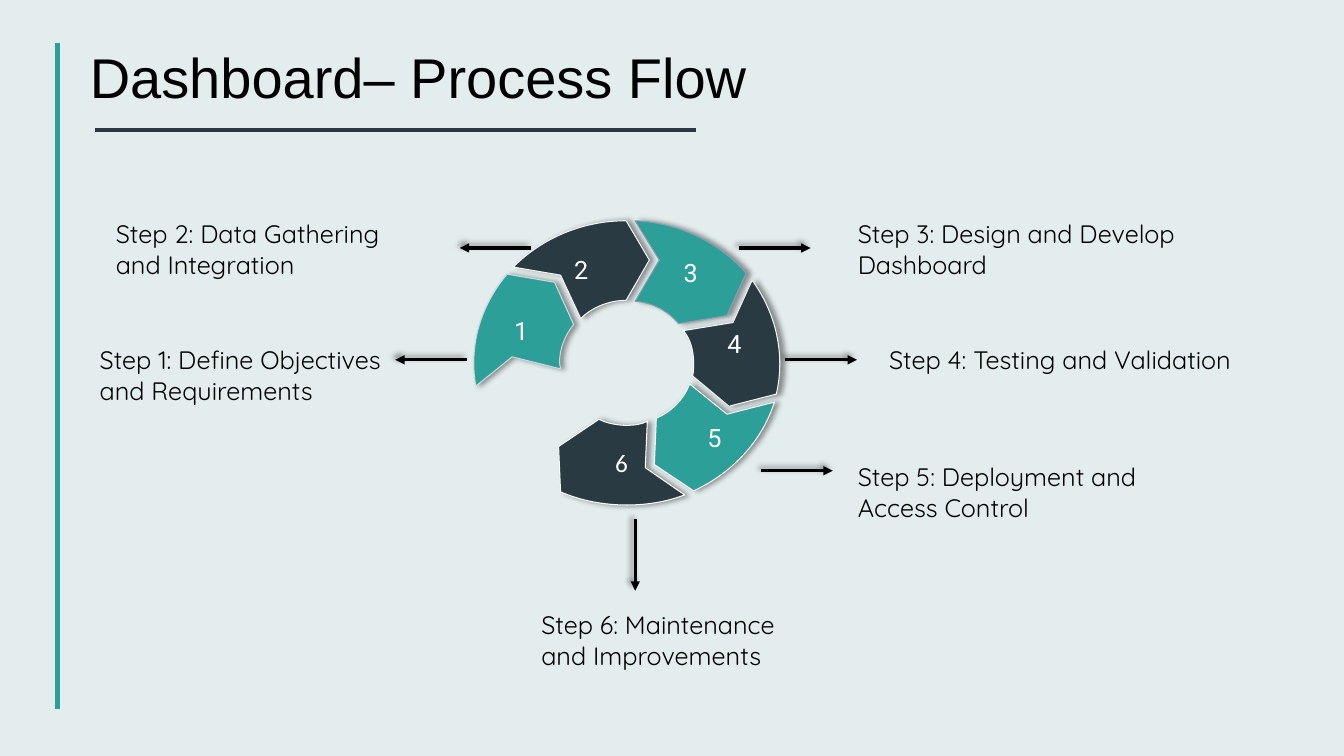
from dataclasses import dataclass

from lxml import etree
from pptx import Presentation
from pptx.dml.color import RGBColor
from pptx.enum.shapes import MSO_CONNECTOR
from pptx.enum.text import MSO_ANCHOR, MSO_AUTO_SIZE, PP_ALIGN
from pptx.oxml.ns import qn
from pptx.util import Pt

STRAIGHT = MSO_CONNECTOR.STRAIGHT
TOP, MIDDLE = MSO_ANCHOR.TOP, MSO_ANCHOR.MIDDLE
LEFT, CENTER = PP_ALIGN.LEFT, PP_ALIGN.CENTER
NO_FIT, GROW = MSO_AUTO_SIZE.NONE, MSO_AUTO_SIZE.SHAPE_TO_FIT_TEXT
PX = 9144
ARROW_LENGTH = 71


@dataclass(frozen=True)
class Theme:
    background: RGBColor = RGBColor.from_string("E4EDEE")
    teal: RGBColor = RGBColor.from_string("2C9F98")
    slate: RGBColor = RGBColor.from_string("293A42")
    black: RGBColor = RGBColor.from_string("000000")
    white: RGBColor = RGBColor.from_string("FFFFFF")
    pale: RGBColor = RGBColor.from_string("F7F7F7")
    mist: RGBColor = RGBColor.from_string("CFD9E0")
    steel: RGBColor = RGBColor.from_string("869FB2")
    title_size: Pt = Pt(40)
    text_size: Pt = Pt(18)


theme = Theme()


def add_effects(shape, shadow_angle=None):
    effects = etree.SubElement(shape._element.spPr, qn("a:effectLst"))
    if shadow_angle is not None:
        shadow = etree.SubElement(
            effects, qn("a:outerShdw"), blurRad=str(Pt(4)), dist=str(Pt(3)),
            dir=str(shadow_angle * 60000), algn="ctr", rotWithShape="0")
        black = etree.SubElement(shadow, qn("a:srgbClr"), val=str(theme.black))
        etree.SubElement(black, qn("a:alpha"), val="40000")


def add_line(start, end, color, width, arrow=False):
    ends = [value * PX for value in (*start, *end)]
    line = page.shapes.add_connector(STRAIGHT, *ends)
    line.line.color.rgb = color
    line.line.width = Pt(width)
    if arrow:
        outline = line._element.spPr.find(qn("a:ln"))
        etree.SubElement(outline, qn("a:tailEnd"), type="triangle")
    add_effects(line, 225 if arrow else None)


deck = Presentation()
deck.slide_width, deck.slide_height = 1333 * PX, 750 * PX
page = deck.slides.add_slide(deck.slide_layouts[5])
page.background.fill.solid()
page.background.fill.fore_color.rgb = theme.background

add_line((57, 43), (57, 703), theme.teal, 3.25)

title = page.shapes.title
title.left, title.top, title.width, title.height = [v * PX for v in (79, 40, 973, 101)]
frame = title.text_frame
frame.margin_left = frame.margin_right = frame.margin_top = frame.margin_bottom = 10 * PX
frame.vertical_anchor = TOP
frame.auto_size = NO_FIT
frame.word_wrap = True
para = frame.paragraphs[0]
para.alignment = LEFT
para.line_spacing = 0.9
span = para.add_run()
span.text = "Dashboard– Process Flow"
span.font.name = "Arial"
span.font.size = theme.title_size
span.font.color.rgb = theme.black

add_line((94, 129), (690, 129), theme.slate, 3)

segments = [
    ("4", theme.slate, theme.pale, "Roboto", (678, 278, 101, 125), [
        (746, 278), (727, 320), (678, 328), (685, 337, 688, 348, 688, 360),
        (688, 364, 688, 369, 687, 373), (723, 403), (770, 391),
        (779, 352, 770, 311, 746, 278)]),
    ("3", theme.teal, theme.steel, "Roboto", (630, 219, 110, 102), [
        (630, 219), (654, 258), (630, 299), (647, 300, 662, 308, 673, 321),
        (721, 313), (740, 271), (713, 240, 673, 221, 630, 219)]),
    ("6", theme.slate, theme.white, "Calibri", (554, 416, 125, 85), [
        (594, 416), (554, 443), (556, 488), (577, 497, 599, 501, 622, 501),
        (641, 501, 661, 498, 679, 491), (640, 464), (642, 418),
        (636, 421, 629, 422, 622, 422), (612, 422, 602, 420, 594, 416)]),
    ("5", theme.teal, theme.pale, "Roboto", (649, 381, 119, 106), [
        (684, 381), (678, 396, 667, 408, 651, 415), (649, 461), (688, 487),
        (727, 469, 756, 437, 768, 399), (721, 411)]),
    ("1", theme.teal, theme.mist, "Roboto", (465, 272, 104, 111), [
        (503, 272), (476, 304, 465, 344, 472, 383), (508, 354), (556, 366),
        (556, 364, 555, 362, 555, 360), (555, 346, 560, 333, 569, 322),
        (550, 280)]),
    ("2", theme.slate, theme.pale, "Roboto", (509, 219, 135, 97), [
        (621, 219), (578, 219, 538, 236, 509, 265), (556, 273), (576, 316),
        (587, 305, 604, 298, 621, 298), (644, 258)]),
]
ring = []
for number, fill, edge, font, (left, top, width, height), outline in segments:
    right, bottom = left + width, top + height
    builder = page.shapes.build_freeform(left, top, scale=PX)
    builder.add_line_segments([(right, top), (right, bottom), (left, bottom)])
    segment = builder.convert_to_shape()
    route = segment._element.spPr.find(".//" + qn("a:path"))
    for command in list(route):
        route.remove(command)
    for index, step in enumerate(outline):
        tag = "a:cubicBezTo" if len(step) == 6 else "a:lnTo" if index else "a:moveTo"
        command = etree.SubElement(route, qn(tag))
        for x, y in zip(step[::2], step[1::2]):
            etree.SubElement(command, qn("a:pt"), x=str(x - left), y=str(y - top))
    etree.SubElement(route, qn("a:close"))
    segment.fill.solid()
    segment.fill.fore_color.rgb = fill
    segment.line.color.rgb = edge
    segment.line.width = Pt(0.75)
    add_effects(segment, 0)
    frame = segment.text_frame
    frame.margin_left = frame.margin_right = frame.margin_top = frame.margin_bottom = 10 * PX
    frame.vertical_anchor = MIDDLE
    para = frame.paragraphs[0]
    para.alignment = CENTER
    span = para.add_run()
    span.text = number
    span.font.name = font
    span.font.size = theme.text_size
    span.font.color.rgb = theme.white
    ring.append(segment)
page.shapes.add_group_shape(ring)

arrows = [
    (463, 357, -1, 0), (630, 515, 0, 1), (779, 357, 1, 0),
    (755, 467, 1, 0), (733, 246, 1, 0), (527, 246, -1, 0),
]
for x, y, across, down in arrows:
    tip = (x + across * ARROW_LENGTH, y + down * ARROW_LENGTH)
    add_line((x, y), tip, theme.black, 2.25, arrow=True)

steps = [
    (89, 337, 308, 71, "Step 1: Define Objectives and Requirements"),
    (105, 212, 308, 71, "Step 2: Data Gathering and Integration"),
    (841, 212, 403, 71, "Step 3: Design and Develop Dashboard"),
    (872, 337, 400, 40, "Step 4: Testing and Validation"),
    (841, 453, 371, 71, "Step 5: Deployment and Access Control"),
    (527, 600, 258, 71, "Step 6: Maintenance and Improvements"),
]
for *place, label in steps:
    box = page.shapes.add_textbox(*[value * PX for value in place])
    frame = box.text_frame
    frame.word_wrap = True
    frame.auto_size = GROW
    span = frame.paragraphs[0].add_run()
    span.text = label
    span.font.name = "Quicksand"
    span.font.size = theme.text_size
    span.font.color.rgb = theme.black

deck.save("out.pptx")
